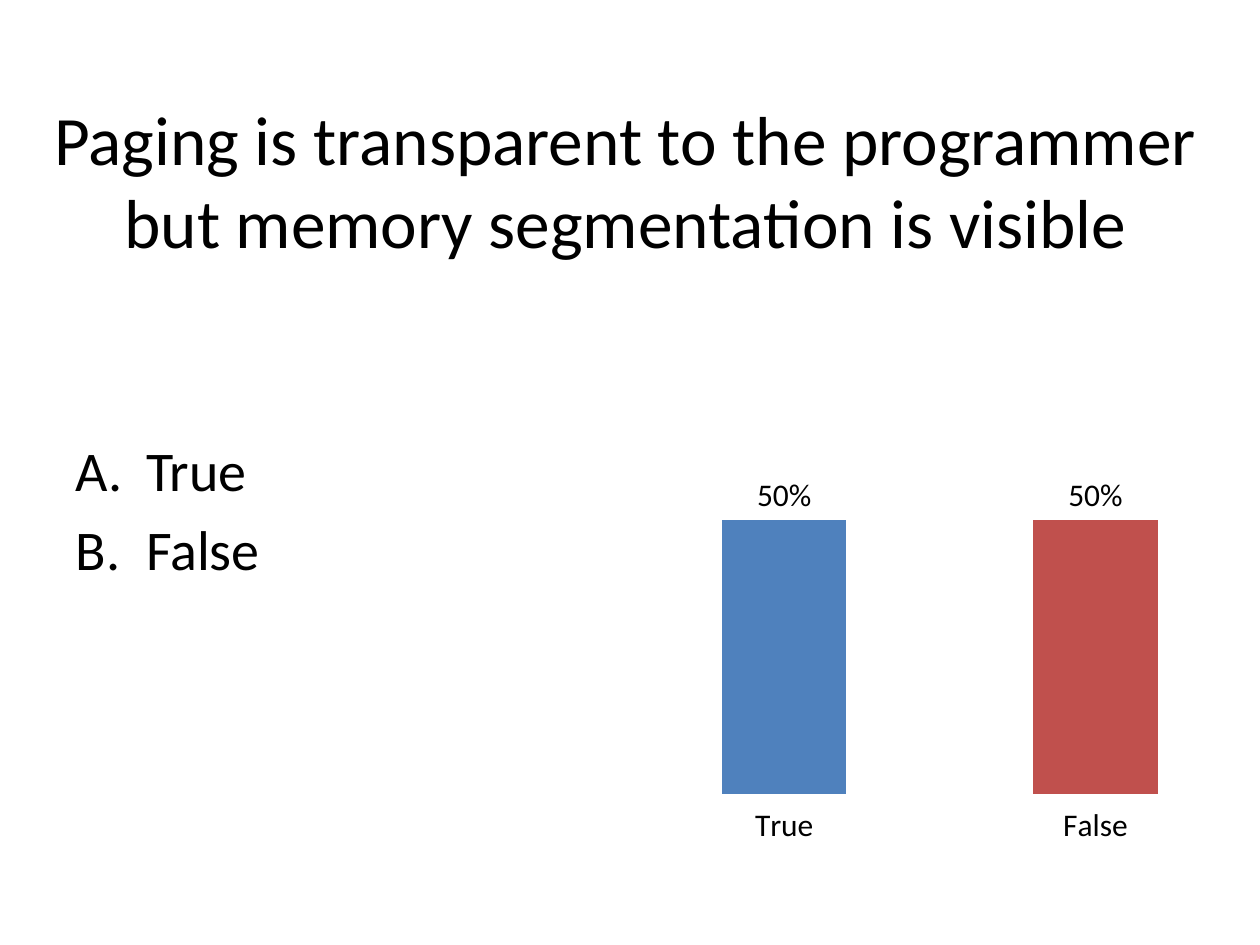
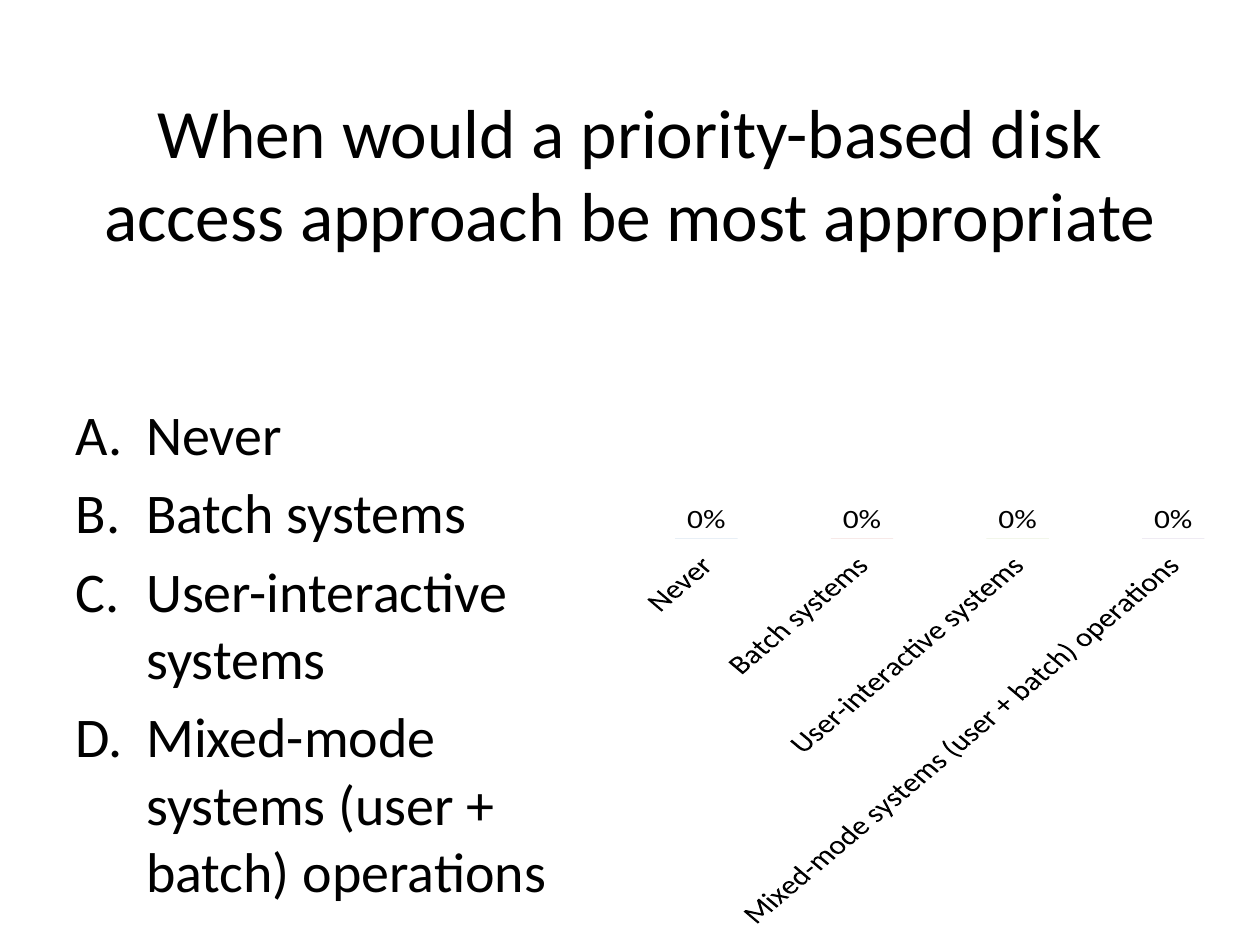
from dataclasses import dataclass
from typing import Optional

from lxml.etree import SubElement
from pptx import Presentation
from pptx.chart.chart import Chart
from pptx.chart.data import CategoryChartData
from pptx.dml.color import RGBColor
from pptx.enum.chart import XL_CHART_TYPE as ChartType
from pptx.enum.chart import XL_LABEL_POSITION as LabelPosition
from pptx.enum.chart import XL_TICK_LABEL_POSITION as TickLabels
from pptx.enum.chart import XL_TICK_MARK as TickMark
from pptx.enum.text import MSO_ANCHOR as Anchor
from pptx.enum.text import MSO_AUTO_SIZE as AutoSize
from pptx.enum.text import PP_ALIGN as Align
from pptx.oxml.ns import qn
from pptx.util import Emu, Pt

# Shared style
EMU_PER_PX = 9144  # 100 px to the inch
FONT = "Calibri"
BLACK = "000000"
BAR_COLOURS = ["4F81BD", "C0504D", "9BBB59", "8064A2"]
TITLE_SIZE, ANSWER_SIZE, CHART_SIZE = 39.6, 32, 18
ANSWER_INDENT = 56
PLOT_LAYOUT = {"layoutTarget": "outer", "xMode": "edge", "yMode": "edge",
               "x": 0.01, "y": 0.07, "w": 0.99, "h": 0.76}


@dataclass
class Area:
    left: int
    top: int
    width: int
    height: int

    def emu(self) -> list[Emu]:
        return [px(n) for n in (self.left, self.top, self.width, self.height)]


@dataclass
class Question:
    title: str
    answers: list[str]
    votes: list[float]
    title_area: Area
    answer_area: Area
    chart_area: Area


QUESTIONS = [
    Question("Paging is transparent to the programmer but memory segmentation is visible",
             ["True", "False"], [0.5, 0.5],
             Area(0, 44, 993, 197), Area(50, 341, 450, 329), Area(493, 341, 500, 397)),
    Question("When would a priority-based disk access approach be most appropriate",
             ["Never", "Batch systems", "User-interactive systems",
              "Mixed-mode systems (user + batch) operations"], [0, 0, 0, 0],
             Area(50, 30, 900, 214), Area(50, 312, 450, 412), Area(493, 312, 500, 426)),
]


def px(length: int) -> Emu:
    return Emu(length * EMU_PER_PX)


def colour(hex_code: str) -> RGBColor:
    return RGBColor.from_string(hex_code)


def style_font(font, size: float) -> None:
    font.name = FONT
    font.size = Pt(size)
    font.color.rgb = colour(BLACK)


def add_letter(para) -> None:
    """Number a paragraph A., B., C. with a hanging indent."""
    props = para._p.get_or_add_pPr()
    props.set("marL", str(px(ANSWER_INDENT)))
    props.set("indent", str(-px(ANSWER_INDENT)))
    SubElement(props, qn("a:buFont"), typeface="+mj-lt")
    SubElement(props, qn("a:buAutoNum"), type="alphaUcPeriod")


def fill_text(box, area: Area, lines: list[str], *, size: float, anchor: Anchor,
              align: Optional[Align] = None, lettered: bool = False) -> None:
    """Place a placeholder and write one paragraph per line."""
    box.left, box.top, box.width, box.height = area.emu()
    frame = box.text_frame
    frame.word_wrap = True
    frame.auto_size = AutoSize.NONE
    frame.vertical_anchor = anchor
    for index, line in enumerate(lines):
        para = frame.add_paragraph() if index else frame.paragraphs[0]
        if lettered:
            add_letter(para)
        para.alignment = align
        para.space_before = Pt(0.2 * size if index else 0)
        span = para.add_run()
        span.text = line
        style_font(span.font, size)


def set_plot_layout(chart: Chart) -> None:
    plot_area = chart.element.find(".//" + qn("c:plotArea"))
    for old in plot_area.findall(qn("c:layout")):
        plot_area.remove(old)
    layout = SubElement(plot_area, qn("c:layout"))
    plot_area.insert(0, layout)
    manual = SubElement(layout, qn("c:manualLayout"))
    for name, value in PLOT_LAYOUT.items():
        SubElement(manual, qn(f"c:{name}"), val=str(value))


def add_vote_chart(page, question: Question) -> None:
    data = CategoryChartData(number_format="0%")
    data.categories = question.answers
    data.add_series("Series 1", question.votes)
    chart = page.shapes.add_chart(ChartType.COLUMN_CLUSTERED,
                                  *question.chart_area.emu(), data).chart
    chart.has_legend = False
    chart.has_title = False
    style_font(chart.font, CHART_SIZE)
    set_plot_layout(chart)

    # Axes without lines; values appear only as bar labels
    for axis in (chart.category_axis, chart.value_axis):
        axis.has_major_gridlines = False
        axis.major_tick_mark = TickMark.OUTSIDE
        axis.format.line.fill.background()
    chart.value_axis.minimum_scale = 0
    chart.value_axis.tick_label_position = TickLabels.NONE
    chart.value_axis.tick_labels.number_format = "0%"
    chart.value_axis.tick_labels.number_format_is_linked = False

    # Bars, one colour per answer
    plot = chart.plots[0]
    plot.gap_width = 150
    plot.vary_by_categories = False
    for index, _ in enumerate(question.answers):
        fill = plot.series[0].points[index].format.fill
        fill.solid()
        fill.fore_color.rgb = colour(BAR_COLOURS[index])
    plot.has_data_labels = True
    labels = plot.data_labels
    labels.show_value = True
    labels.number_format = "0%"
    labels.number_format_is_linked = False
    labels.position = LabelPosition.OUTSIDE_END
    style_font(labels.font, CHART_SIZE)


def add_question(deck, question: Question) -> None:
    page = deck.slides.add_slide(deck.slide_layouts[1])
    fill_text(page.shapes.title, question.title_area, [question.title],
              size=TITLE_SIZE, anchor=Anchor.MIDDLE, align=Align.CENTER)
    fill_text(page.placeholders[1], question.answer_area, question.answers,
              size=ANSWER_SIZE, anchor=Anchor.TOP, lettered=True)
    add_vote_chart(page, question)


def main() -> None:
    deck = Presentation()
    deck.slide_width, deck.slide_height = px(1000), px(750)
    for question in QUESTIONS:
        add_question(deck, question)
    deck.save("out.pptx")


if __name__ == "__main__":
    main()
